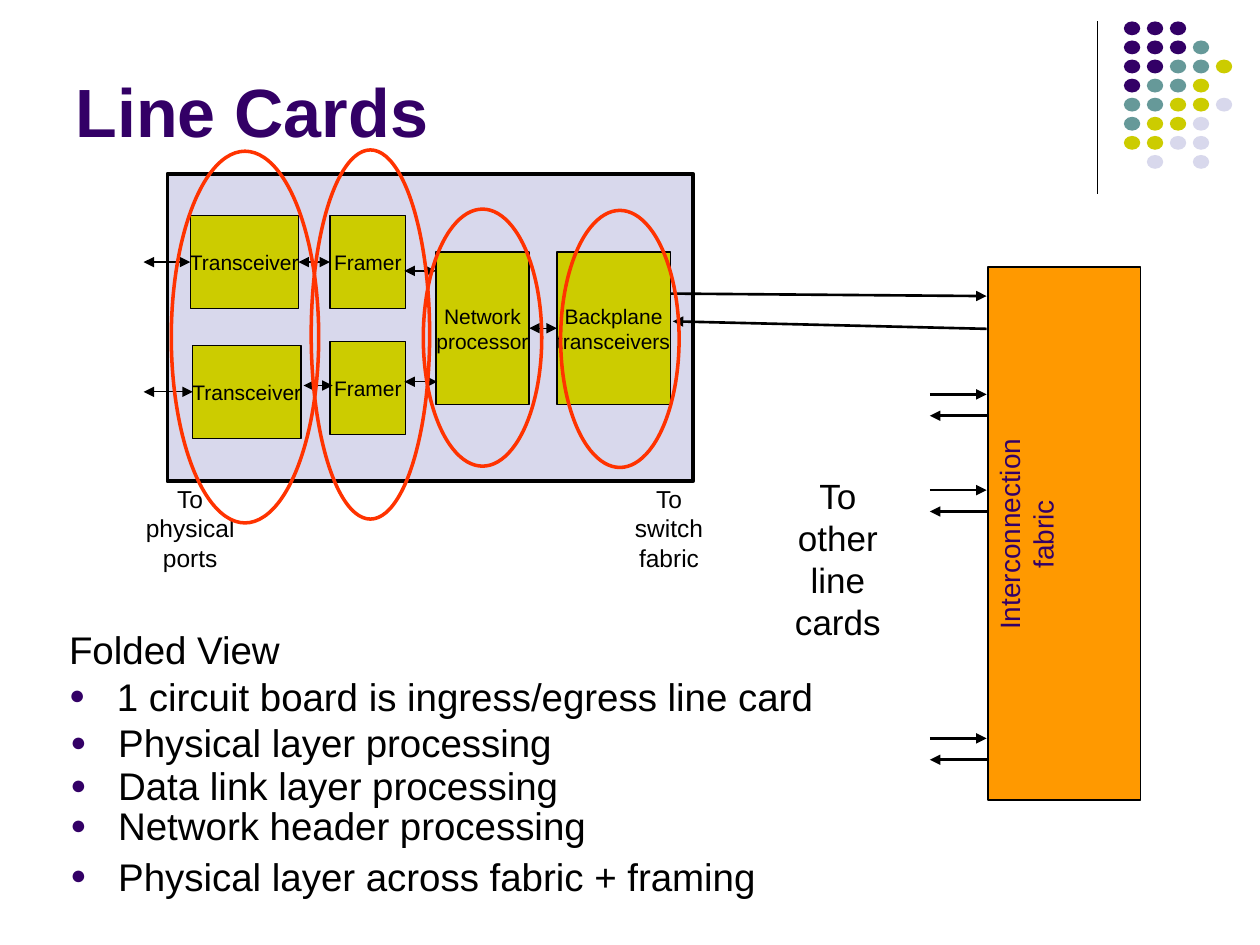
from lxml import etree
from pptx import Presentation
from pptx.dml.color import RGBColor
from pptx.enum.shapes import MSO_CONNECTOR, MSO_SHAPE
from pptx.enum.text import MSO_ANCHOR, PP_ALIGN
from pptx.oxml.ns import qn
from pptx.util import Inches, Pt

RECTANGLE, OVAL = MSO_SHAPE.RECTANGLE, MSO_SHAPE.OVAL
STRAIGHT = MSO_CONNECTOR.STRAIGHT
LEFT, CENTER = PP_ALIGN.LEFT, PP_ALIGN.CENTER
TOP, MIDDLE, BOTTOM = MSO_ANCHOR.TOP, MSO_ANCHOR.MIDDLE, MSO_ANCHOR.BOTTOM
LEFT_SIDE, RIGHT_SIDE = 1, 3

BLACK, PURPLE, TEAL = "000000", "330066", "669999"
OLIVE, LAVENDER, ORANGE, RED = "CCCC00", "D8D8EC", "FF9900", "FF3300"


def colour(value):
    return RGBColor.from_string(value)


def within(box, left, top, width, height):
    """Turn offsets from a box's corner into page lengths."""
    return [Inches(n) for n in (box[0] + left, box[1] + top, width, height)]


def write(frame, lines, size, color=BLACK, bold=False, align=CENTER, anchor=MIDDLE, wrap=False):
    frame.word_wrap = wrap
    frame.vertical_anchor = anchor
    frame.text = "\n".join(lines)
    if not wrap:
        frame.margin_left = frame.margin_right = 0
    font_values = {"name": "Arial", "size": Pt(size), "bold": bold}
    for para in frame.paragraphs:
        para.alignment = align
        for key, value in font_values.items():
            setattr(para.font, key, value)
        para.font.color.rgb = colour(color)


def add_shape(page, kind, place, fill=None, line=None, weight=0.75):
    shape = page.shapes.add_shape(kind, *place)
    shape.shadow.inherit = False
    if fill:
        shape.fill.solid()
        shape.fill.fore_color.rgb = colour(fill)
    else:
        shape.fill.background()
    if line:
        shape.line.color.rgb = colour(line)
        shape.line.width = Pt(weight)
    else:
        shape.line.fill.background()
    return shape


def add_label(page, place, lines, size, **values):
    label = page.shapes.add_textbox(*place)
    write(label.text_frame, lines, size, **values)
    return label


def add_line(page, box, start, end, weight=0.75, arrows=()):
    """Draw a line between two offsets; arrows names the ends with a head."""
    points = [Inches(box[i] + point[i]) for point in (start, end) for i in (0, 1)]
    line = page.shapes.add_connector(STRAIGHT, *points)
    line.line.color.rgb = colour(BLACK)
    line.line.width = Pt(weight)
    properties = line._element.spPr
    outline = properties.find(qn("a:ln"))
    for name in arrows:
        etree.SubElement(outline, qn(f"a:{name}"), type="triangle")
    etree.SubElement(properties, qn("a:effectLst"))
    return line


def add_title(page, box, text):
    title = page.shapes.title
    title.left, title.top, title.width, title.height = within(box, 0, 0, *box[2:])
    write(title.text_frame, [text], 39, PURPLE, bold=True, align=LEFT, anchor=BOTTOM, wrap=True)


def add_dot_corner(page, box):
    add_line(page, box, (0, 0), (0, box[3]))
    palette = {"P": PURPLE, "T": TEAL, "O": OLIVE, "L": LAVENDER}
    rows = ["PPP", "PPPT", "PPTTO", "PTTO", "TTOOL", "TOOL", "OOLL", " L L"]
    dot_width, dot_height, first = 0.13, 0.11, 0.21
    across = (box[2] - first - dot_width) / 4
    down = 1.06 / (len(rows) - 1)
    for row, pattern in enumerate(rows):
        for column, key in enumerate(pattern):
            if key in palette:
                place = within(box, first + column * across, row * down, dot_width, dot_height)
                add_shape(page, OVAL, place, palette[key])


def add_line_card(page, box):
    add_shape(page, RECTANGLE, within(box, 0, 0, *box[2:]), LAVENDER, BLACK, 2.25)

    def add_block(lines, *offsets):
        block = add_shape(page, RECTANGLE, within(box, *offsets), OLIVE, BLACK)
        write(block.text_frame, lines, 12)
        return block

    transceivers = [add_block(["Transceiver"], left, top, 0.86, 0.74)
                    for left, top in ((0.18, 0.33), (0.2, 1.36))]
    framers = [add_block(["Framer"], 1.29, top, 0.6, 0.74) for top in (0.33, 1.33)]
    network = add_block(["Network", "processor"], 2.13, 0.62, 0.74, 1.21)
    backplane = add_block(["Backplane", "transceivers"], 3.09, 0.62, 0.9, 1.21)

    both = ("headEnd", "tailEnd")
    for transceiver, port_y in zip(transceivers, (0.7, 1.73)):
        port = add_line(page, box, (-0.19, port_y), (0.18, port_y), arrows=both)
        port.end_connect(transceiver, LEFT_SIDE)
    for source, target in ((transceivers[0], framers[0]), (network, backplane)):
        link = add_line(page, box, (0, 0), (1, 0), arrows=both)
        link.begin_connect(source, RIGHT_SIDE)
        link.end_connect(target, LEFT_SIDE)
    for left, right, y in ((1.08, 1.31, 1.68), (1.88, 2.13, 0.77), (1.88, 2.14, 1.65)):
        add_line(page, box, (left, y), (right, y), arrows=both)

    add_label(page, within(box, -0.27, 2.41, 0.9, 0.8), ["To", "physical", "ports"], 14)
    add_label(page, within(box, 3.61, 2.41, 0.74, 0.8), ["To", "switch", "fabric"], 14)


def add_fabric(page, box):
    add_shape(page, RECTANGLE, within(box, 0, 0, *box[2:]), ORANGE, BLACK)
    name = add_label(page, within(box, -0.55, 1.8, 1.71, 0.64), ["Interconnection", "fabric"],
                     16, color=PURPLE, anchor=TOP)
    name.rotation = 270
    add_label(page, within(box, -1.63, 1.6, 0.88, 1.44), ["To", "other", "line", "cards"],
              20, anchor=TOP)

    links = [((-2.52, 0.21), (-0.01, 0.23)), ((-0.01, 0.49), (-2.5, 0.43))]
    for y in (1.01, 1.77, 3.74):
        links += [((-0.46, y), (-0.01, y)), ((-0.01, y + 0.17), (-0.46, y + 0.17))]
    for start, end in links:
        add_line(page, box, start, end, 1.5, arrows=("tailEnd",))


def add_stage_rings(page, box):
    """Ring each processing stage of the line card."""
    rings = [(0.03, -0.18, 1.17, 2.95), (1.14, -0.19, 0.94, 2.93),
             (2.03, 0.28, 0.94, 2.04), (3.12, 0.29, 0.94, 2.04)]
    for ring in rings:
        add_shape(page, OVAL, within(box, *ring), line=RED, weight=2)


def add_bullet(para):
    properties = para._p.get_or_add_pPr()
    properties.set("marL", str(Inches(0.38)))
    properties.set("indent", str(-Inches(0.38)))
    bullet_color = etree.SubElement(properties, qn("a:buClr"))
    etree.SubElement(bullet_color, qn("a:srgbClr"), val=PURPLE)
    etree.SubElement(properties, qn("a:buSzPct"), val="70000")
    etree.SubElement(properties, qn("a:buFont"), typeface="Arial")
    etree.SubElement(properties, qn("a:buChar"), char="●")


def add_notes_list(page, box):
    heading = "Folded View"
    groups = [
        (0, 0, 0.77, [heading, "1 circuit board is ingress/egress line card"]),
        (0.01, 0.74, 0.46, ["Physical layer processing"]),
        (0.01, 1.08, 0.49, ["Data link layer processing"]),
        (0.01, 1.4, 0.42, ["Network header processing"]),
        (0.01, 1.8, 0.45, ["Physical layer across fabric + framing"]),
    ]
    for left, top, height, lines in groups:
        label = page.shapes.add_textbox(*within(box, left, top, box[2], height))
        frame = label.text_frame
        frame.text = "\n".join(lines)
        for para in frame.paragraphs:
            if para.text != heading:
                add_bullet(para)
        write_list(frame)


def write_list(frame):
    """Format the lines of a list whose bullets are in place."""
    frame.word_wrap = True
    for index, para in enumerate(frame.paragraphs):
        para.line_spacing = 0.8
        if index:
            para.space_before = Pt(5.5)
        para.font.name = "Arial"
        para.font.size = Pt(22)
        para.font.color.rgb = colour(BLACK)


def main():
    deck = Presentation()
    deck.slide_width, deck.slide_height = Inches(10), Inches(7.5)
    page = deck.slides.add_slide(deck.slide_layouts[5])
    card_box = (1.33, 1.38, 4.17, 2.44)
    add_dot_corner(page, (8.71, 0.17, 1.07, 1.37))
    add_line_card(page, card_box)
    add_fabric(page, (7.84, 2.12, 1.21, 4.23))
    add_title(page, (0.5, 0.13, 8.25, 1.12), "Line Cards")
    add_stage_rings(page, card_box)
    add_notes_list(page, (0.45, 4.99, 6.34, 2.25))
    deck.save("out.pptx")


if __name__ == "__main__":
    main()
